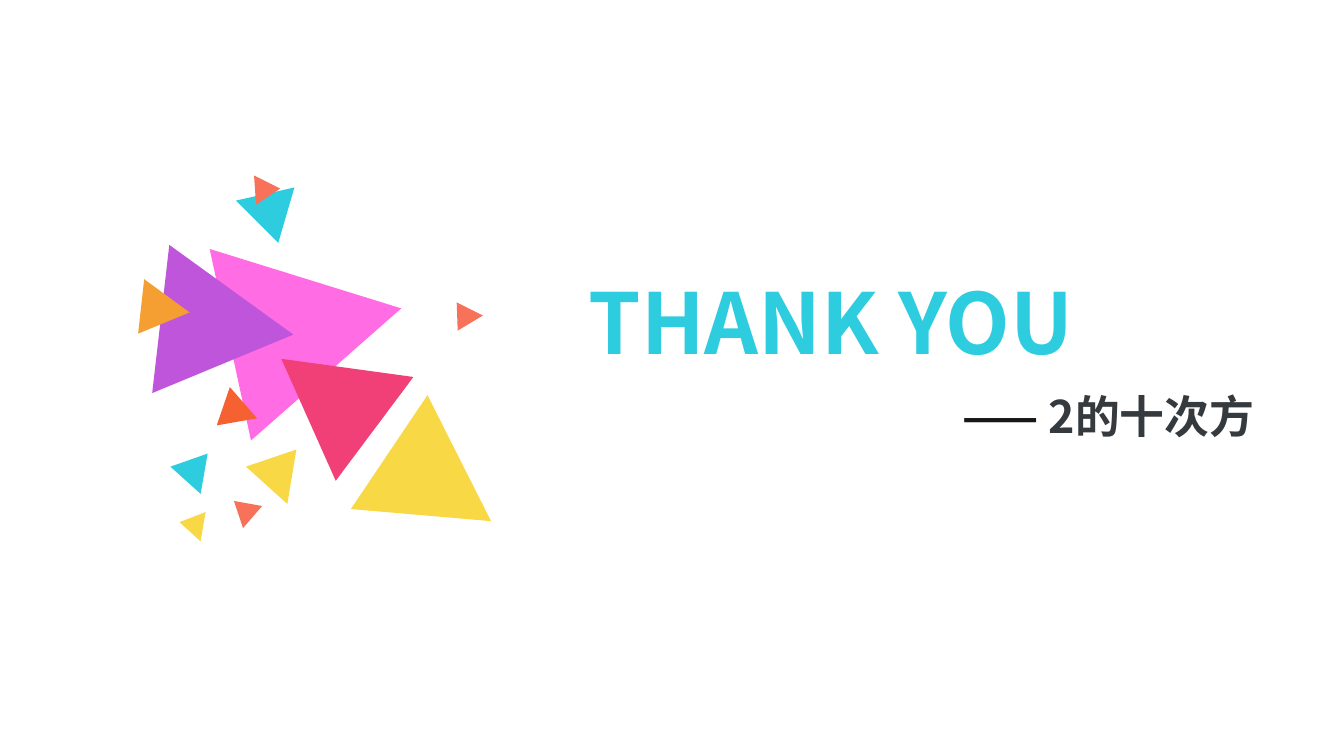
from pptx import Presentation
from pptx import util as u
from pptx.dml.color import RGBColor
from pptx.enum import text
from pptx.oxml.ns import qn
from lxml import etree

FONT = "Noto Sans CJK SC"
CYAN = RGBColor(0x2D, 0xCC, 0xDF)
PINK = RGBColor(0xFF, 0x6C, 0xE4)
PURPLE = RGBColor(0xBF, 0x55, 0xDB)
AMBER = RGBColor(0xF5, 0x9E, 0x32)
ORANGE = RGBColor(0xF5, 0x61, 0x30)
YELLOW = RGBColor(0xF8, 0xD8, 0x45)
CORAL = RGBColor(0xF7, 0x72, 0x58)
ROSE = RGBColor(0xF0, 0x40, 0x77)
BLACK = RGBColor(0x18, 0x17, 0x17)
SLATE = RGBColor(0x35, 0x3A, 0x3E)

SHARDS = [
    (CYAN, [(2.92, 1.86), (2.76, 2.41), (2.34, 1.99)]),
    (PINK, [(2.49, 4.37), (2.08, 2.47), (3.98, 3.06)]),
    (PURPLE, [(1.51, 3.9), (1.68, 2.43), (2.91, 3.32)]),
    (AMBER, [(1.37, 3.31), (1.43, 2.77), (1.88, 3.1)]),
    (ORANGE, [(2.15, 4.22), (2.28, 3.84), (2.55, 4.15)]),
    (CYAN, [(1.69, 4.63), (2.06, 4.5), (1.99, 4.9)]),
    (YELLOW, [(1.78, 5.18), (2.04, 5.08), (1.99, 5.37)]),
    (CORAL, [(2.41, 5.24), (2.32, 4.97), (2.6, 5.02)]),
    (YELLOW, [(2.44, 4.63), (2.94, 4.46), (2.85, 5)]),
    (YELLOW, [(3.48, 5.05), (4.24, 3.92), (4.87, 5.17)]),
    (ROSE, [(4.1, 3.74), (3.33, 4.77), (2.79, 3.56)]),
    (CORAL, [(4.54, 3.28), (4.53, 3), (4.79, 3.13)]),
    (CORAL, [(2.54, 2.03), (2.52, 1.74), (2.78, 1.87)]),
]


def add_shard(slide, color, points):
    """Draw one filled triangle from its corners in inches."""
    first, *rest = [(u.Inches(x), u.Inches(y)) for x, y in points]
    pen = slide.shapes.build_freeform(*first)
    pen.add_line_segments(rest, close=True)
    shard = pen.convert_to_shape()
    shard.shadow.inherit = False
    shard.fill.solid()
    shard.fill.fore_color.rgb = color
    shard.line.fill.background()


def add_label(slide, box, size, align, runs):
    """Add one line of bold text made of coloured runs."""
    label = slide.shapes.add_textbox(*[u.Inches(n) for n in box])
    frame = label.text_frame
    frame.word_wrap = True
    frame.auto_size = text.MSO_AUTO_SIZE.SHAPE_TO_FIT_TEXT
    line = frame.paragraphs[0]
    line.alignment = align
    for words, color in runs:
        run = line.add_run()
        run.text = words
        font = run.font
        font.name, font.size, font.bold = FONT, u.Pt(size), True
        font.color.rgb = color
        east = etree.SubElement(run._r.get_or_add_rPr(), qn("a:ea"))
        east.set("typeface", FONT)


def main():
    """Build and save the closing slide."""
    deck = Presentation()
    deck.slide_width, deck.slide_height = u.Inches(13.33), u.Inches(7.5)
    slide = deck.slides.add_slide(deck.slide_layouts[6])
    for color, points in SHARDS:
        add_shard(slide, color, points)
    add_label(slide, (5.74, 2.63, 5.72, 1.11), 60, text.PP_ALIGN.LEFT,
              [("THANK YOU", CYAN)])
    add_label(slide, (5.72, 3.81, 6.82, 0.64), 32, text.PP_ALIGN.RIGHT,
              [("—— ", BLACK), ("2的十次方", SLATE)])
    deck.save("out.pptx")


if __name__ == "__main__":
    main()
